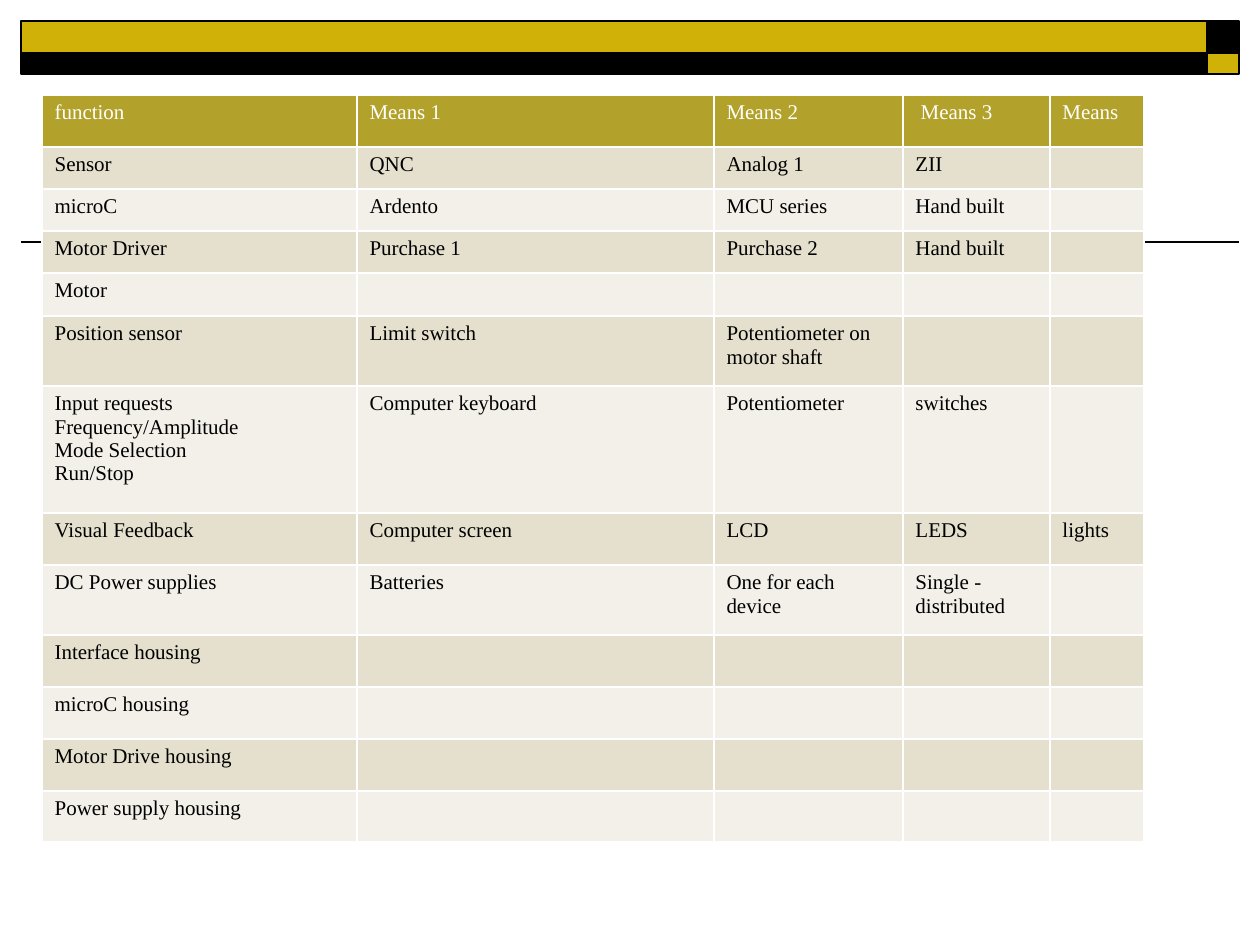
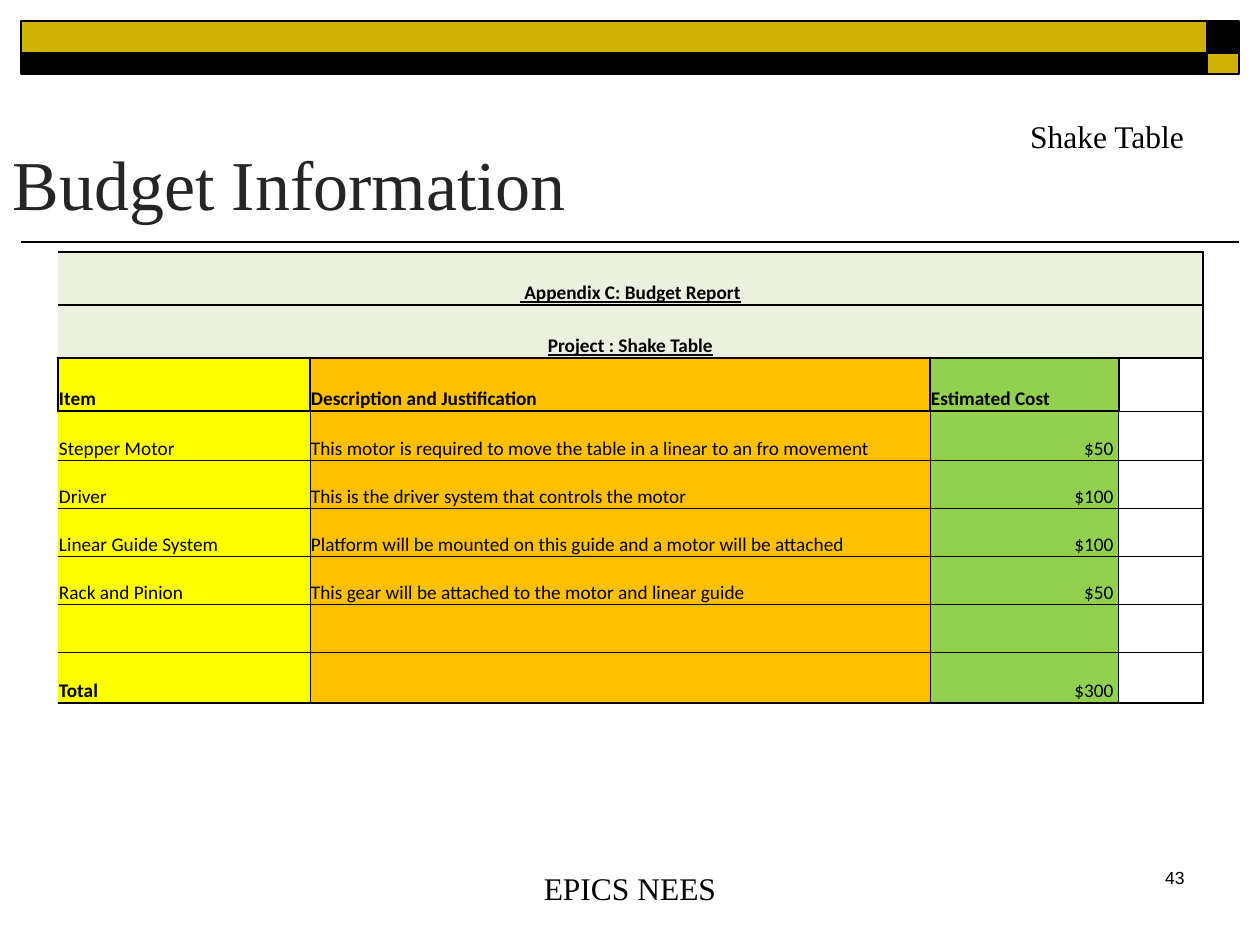
from dataclasses import dataclass

from lxml.etree import SubElement
from pptx import Presentation
from pptx.dml.color import RGBColor
from pptx.enum.shapes import MSO_CONNECTOR as CONNECTOR, MSO_SHAPE as SHAPE
from pptx.enum.text import MSO_ANCHOR as ANCHOR, MSO_AUTO_SIZE as AUTO_SIZE, PP_ALIGN as ALIGN
from pptx.oxml.ns import qn
from pptx.util import Inches, Pt

PX = 7257  # EMU in one px, 126 px to the inch


@dataclass(frozen=True)
class Theme:
    serif: str = "Times New Roman"
    sans: str = "Arial"
    sheet: str = "Calibri"
    black: str = "000000"
    white: str = "FFFFFF"
    gold: str = "CFB107"
    title: str = "252525"
    header: str = "B2A22B"
    bands: tuple = ("E4E0CD", "F2F0E8")
    banner: str = "EBF1DE"
    budget: tuple = ("FFFF00", "FFC000", "92D050", None)
    title_size: int = 40
    label_size: int = 18
    means_size: int = 12
    budget_size: int = 11
    number_size: int = 10


theme = Theme()


def write(frame, text, font=theme.serif, size=theme.label_size, color=theme.black,
          align=ALIGN.LEFT, bold=False, underline=False):
    """Put text in a frame, one paragraph a line."""
    frame.word_wrap = True
    for number, line in enumerate(text.split("\n")):
        paragraph = frame.add_paragraph() if number else frame.paragraphs[0]
        paragraph.alignment = align
        if not line:  # keeps an empty cell from growing its row
            SubElement(paragraph._p, qn("a:endParaRPr"), sz=str(size * 100))
            continue
        run = paragraph.add_run()
        run.text = line
        run.font.name, run.font.size = font, Pt(size)
        run.font.bold, run.font.underline = bold, underline
        run.font.color.rgb = RGBColor.from_string(color)


def style_cell(cell, fill, color, left, right, top, bottom):
    """Set the fill and the border widths (in points) of a cell."""
    properties = cell._tc.get_or_add_tcPr()
    for side, width in zip("LRTB", (left, right, top, bottom)):
        line = SubElement(properties, qn(f"a:ln{side}"), w=str(int(width * 12700)))
        if width:
            SubElement(SubElement(line, qn("a:solidFill")), qn("a:srgbClr"), val=color)
        else:
            SubElement(line, qn("a:noFill"))
    if fill:
        cell.fill.solid()
        cell.fill.fore_color.rgb = RGBColor.from_string(fill)
    else:
        cell.fill.background()


presentation = Presentation()
presentation.slide_width, presentation.slide_height = Inches(10), Inches(7.5)
means_slide = presentation.slides.add_slide(presentation.slide_layouts[6])
budget_slide = presentation.slides.add_slide(presentation.slide_layouts[5])

# Shared rule and bands, moved to the slide master
rule = means_slide.shapes.add_connector(
    CONNECTOR.STRAIGHT, 1239 * PX, 242 * PX, 21 * PX, 242 * PX)
master_shapes = [rule]
for left, top, width, height, color in (
    (1207, 21, 32, 32, theme.black),
    (21, 21, 1186, 32, theme.gold),
    (21, 53, 1187, 21, theme.black),
    (1207, 53, 32, 21, theme.gold),
):
    band = means_slide.shapes.add_shape(
        SHAPE.RECTANGLE, left * PX, top * PX, width * PX, height * PX)
    band.shadow.inherit = False
    band.fill.solid()
    band.fill.fore_color.rgb = RGBColor.from_string(color)
    master_shapes.append(band)
for number, shape in enumerate(master_shapes, start=20):
    shape.line.color.rgb = RGBColor.from_string(theme.black)
    shape.line.width = Pt(1)
    shape.element.xpath(".//p:cNvPr")[0].set("id", str(number))
    presentation.slide_master.shapes.element.append(shape.element)
SubElement(rule.element.spPr, qn("a:effectLst"))

# Budget slide: title and labels
title = budget_slide.shapes.title
title.left, title.top, title.width, title.height = 0, 84 * PX, 945 * PX, 147 * PX
write(title.text_frame, "Budget Information", size=theme.title_size, color=theme.title)
title.text_frame.vertical_anchor = ANCHOR.BOTTOM
title.text_frame.auto_size = AUTO_SIZE.NONE
for text, left, top, width, height, text_format in (
    ("43", 935, 861, 262, 63,
     dict(font=theme.sans, size=theme.number_size, align=ALIGN.RIGHT)),
    ("Shake Table", 976, 111, 262, 50, dict(align=ALIGN.CENTER)),
    ("EPICS NEES", 462, 863, 336, 50, dict(align=ALIGN.CENTER)),
):
    label = budget_slide.shapes.add_textbox(left * PX, top * PX, width * PX, height * PX)
    write(label.text_frame, text, **text_format)

# Table grids
tables = []
for slide, left, top, widths, heights in (
    (means_slide, 42, 95, (315, 357, 189, 147, 94),
     (52, 42, 42, 42, 43, 70, 127, 52, 70, 52, 52, 52, 51)),
    (budget_slide, 58, 252, (252, 620, 189, 84),
     (53, 53, 53, 50, 48, 48, 48, 48, 50)),
):
    table = slide.shapes.add_table(
        len(heights), len(widths), left * PX, top * PX,
        sum(widths) * PX, sum(heights) * PX).table
    table.first_row = table.horz_banding = False
    for column, width in zip(table.columns, widths):
        column.width = width * PX
    for row, height in zip(table.rows, heights):
        row.height = height * PX
    tables.append(table)
means_table, budget_table = tables

# Means for each function
means_rows = (
    ("function", "Means 1", "Means 2", " Means 3", "Means"),
    ("Sensor", "QNC", "Analog 1", "ZII"),
    ("microC", "Ardento", "MCU series", "Hand built"),
    ("Motor Driver", "Purchase 1", "Purchase 2", "Hand built"),
    ("Motor",),
    ("Position sensor", "Limit switch", "Potentiometer on motor shaft"),
    ("Input requests\nFrequency/Amplitude\nMode Selection\nRun/Stop",
     "Computer keyboard", "Potentiometer", "switches"),
    ("Visual Feedback", "Computer screen", "LCD", "LEDS", "lights"),
    ("DC Power supplies", "Batteries", "One for each device", "Single - distributed"),
    ("Interface housing",),
    ("microC housing",),
    ("Motor Drive housing",),
    ("Power supply housing",),
)
for row_number, texts in enumerate(means_rows):
    is_header = row_number == 0
    fill = theme.header if is_header else theme.bands[(row_number - 1) % 2]
    for column_number in range(len(means_table.columns)):
        cell = means_table.cell(row_number, column_number)
        text = texts[column_number] if column_number < len(texts) else ""
        style_cell(cell, fill, theme.white, 1, 1, 1, 1)
        write(cell.text_frame, text, size=theme.means_size,
              color=theme.white if is_header else theme.black)

# Budget report: two banner rows, a header row, then the items
budget_rows = (
    (" Appendix C: Budget Report", "", "", ""),
    ("Project : Shake Table", "", "", ""),
    ("Item", "Description and Justification", "Estimated Cost", ""),
    ("Stepper Motor",
     "This motor is required to move the table in a linear to an fro movement", "$50 ", ""),
    ("Driver", "This is the driver system that controls the motor", "$100 ", ""),
    ("Linear Guide System",
     "Platform will be mounted on this guide and a motor will be attached", "$100 ", ""),
    ("Rack and Pinion", "This gear will be attached to the motor and linear guide", "$50 ", ""),
    ("", "", "", ""),
    ("Total", "", "$300 ", ""),
)
THIN, THICK = 0.5, 1.5
HEADER_ROW, LAST_ROW, COST_COLUMN, LAST_COLUMN = 2, len(budget_rows) - 1, 2, 3
for row_number, texts in enumerate(budget_rows):
    is_banner = row_number < HEADER_ROW
    is_header = row_number == HEADER_ROW
    for column_number, text in enumerate(texts):
        cell = budget_table.cell(row_number, column_number)
        is_last_column = column_number == LAST_COLUMN
        if is_banner:
            borders = (0, THICK, THICK, THICK)
        elif is_header:
            borders = (THICK, THICK, THICK, THIN if is_last_column else THICK)
        else:
            below_header = row_number == HEADER_ROW + 1 and not is_last_column
            borders = (THIN if column_number else 0,
                       THICK if is_last_column else THIN,
                       THICK if below_header else THIN,
                       THICK if row_number == LAST_ROW else THIN)
        fill = theme.banner if is_banner else theme.budget[column_number]
        style_cell(cell, fill, theme.black, *borders)
        cell.margin_left = cell.margin_right = cell.margin_top = PX
        cell.margin_bottom = 0
        cell.vertical_anchor = ANCHOR.BOTTOM
        align = ALIGN.LEFT
        if is_banner:
            align = ALIGN.CENTER
        elif column_number == COST_COLUMN and not is_header:
            align = ALIGN.RIGHT
        write(cell.text_frame, text, font=theme.sheet, size=theme.budget_size,
              align=align, underline=is_banner,
              bold=row_number <= HEADER_ROW or text == "Total")
    if is_banner:
        budget_table.cell(row_number, 0).merge(budget_table.cell(row_number, LAST_COLUMN))

presentation.save("out.pptx")
